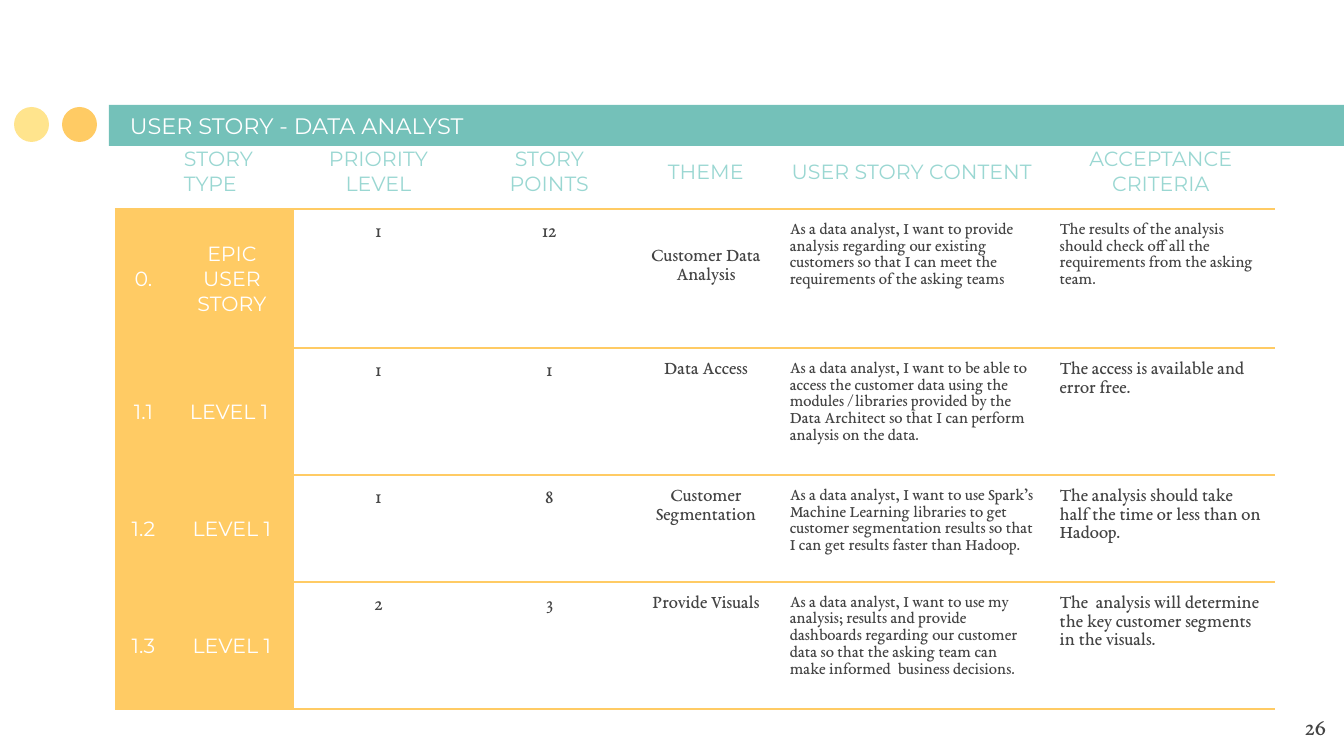
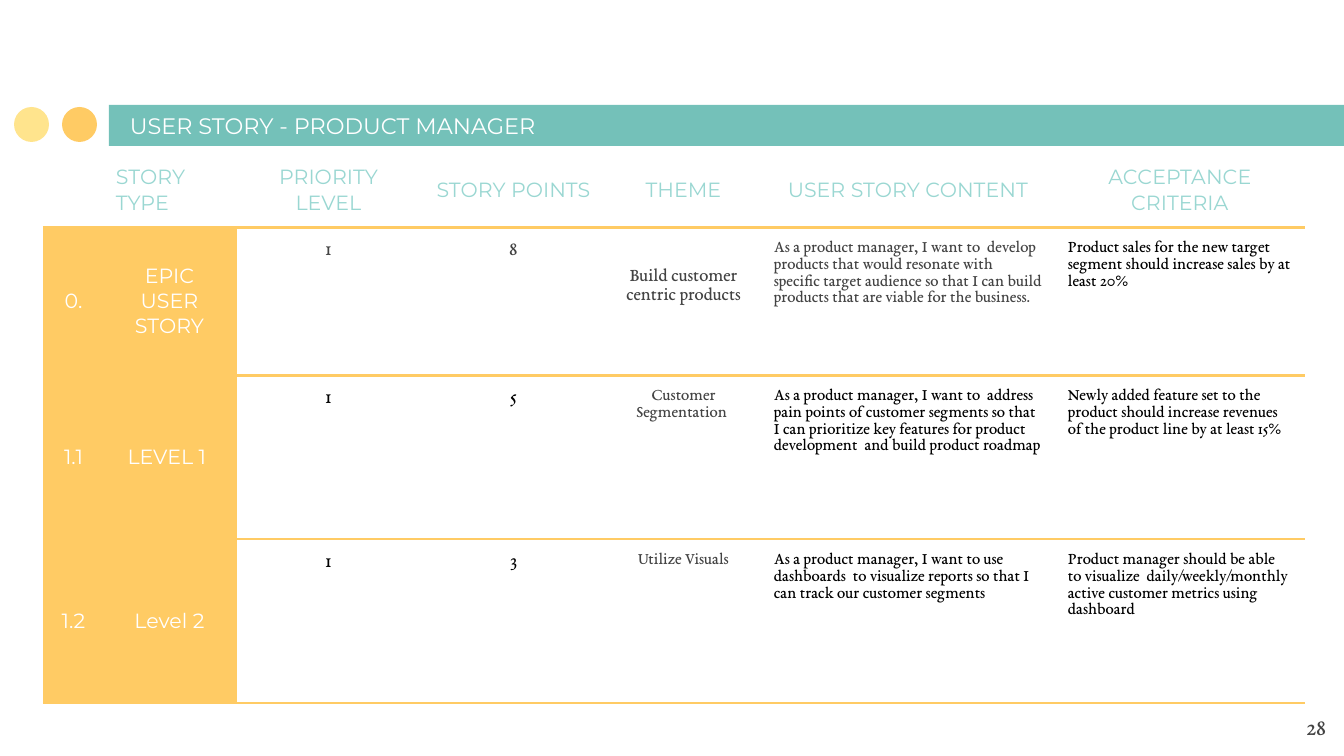
from dataclasses import dataclass

from lxml import etree
from pptx import Presentation
from pptx.dml.color import RGBColor
from pptx.enum import shapes, text
from pptx.oxml.ns import qn
from pptx.util import Pt

# Scale and shared style
PX = 914400 / 134.4
WHITE = RGBColor(0xFF, 0xFF, 0xFF)
BLACK = RGBColor(0, 0, 0)
GRAY = RGBColor(0x43, 0x43, 0x43)
TEAL = RGBColor(0x74, 0xC1, 0xB9)
LIGHT_TEAL = RGBColor(0x9A, 0xD7, 0xD2)
YELLOW = RGBColor(0xFF, 0xCB, 0x64)
PALE_YELLOW = RGBColor(0xFF, 0xE4, 0x8D)
SANS, SERIF = "Montserrat", "EB Garamond"
LEFT, CENTER, RIGHT = (text.PP_ALIGN.LEFT, text.PP_ALIGN.CENTER,
                       text.PP_ALIGN.RIGHT)
INSET = 13
HEADERS = ["", "STORY TYPE", "PRIORITY LEVEL", "STORY POINTS", "THEME",
           "USER STORY CONTENT", "ACCEPTANCE CRITERIA"]


@dataclass
class Story:
    number: str
    level: str
    priority: str
    points: str
    theme: str
    content: str
    criteria: str
    sizes: tuple = (11, 11, 10, 9, 10)
    colors: tuple = (GRAY,) * 5
    theme_drop: int = 0


ANALYST_STORIES = [
    Story("0.", "EPIC USER STORY", "1", "12", "Customer Data Analysis",
          "As a data analyst, I want to provide analysis regarding our existing "
          "customers so that I can meet the requirements of the asking teams",
          "The results of the analysis should check off all the requirements "
          "from the asking team.",
          sizes=(11, 11, 10, 9, 9), theme_drop=26),
    Story("1.1", "LEVEL 1 ", "1", "1", "Data Access",
          "As a data analyst, I want to be able to access the customer data "
          "using the modules / libraries provided by the Data Architect so that "
          "I can perform analysis on the data.",
          "The access is available and error free."),
    Story("1.2", "LEVEL 1", "1", "8", "Customer Segmentation",
          "As a data analyst, I want to use Spark’s Machine Learning libraries "
          "to get customer segmentation results so that I can get results "
          "faster than Hadoop.",
          "The analysis should take half the time or less than on Hadoop."),
    Story("1.3", "LEVEL 1", "2", "3", "Provide Visuals",
          "As a data analyst, I want to use my analysis; results and provide "
          "dashboards regarding our customer data so that the asking team can "
          "make informed  business decisions.",
          "The  analysis will determine the key customer segments  in the "
          "visuals."),
]

MANAGER_SIZES = (11, 11, 9, 9, 9)
MANAGER_COLORS = (BLACK, BLACK, GRAY, BLACK, BLACK)
MANAGER_STORIES = [
    Story("0.", "EPIC USER STORY", "1", "8", "Build customer centric products",
          "As a product manager, I want to  develop products that would resonate "
          "with specific target audience so that I can build products that are "
          "viable for the business.",
          "Product sales for the new target segment should increase sales by at "
          "least 20%",
          (11, 11, 10, 9, 9), (GRAY,) * 4 + (BLACK,), theme_drop=28),
    Story("1.1", "LEVEL 1 ", "1", "5", "Customer Segmentation ",
          "As a product manager, I want to  address pain points of customer "
          "segments so that I can prioritize key features for product "
          "development  and build product roadmap",
          "Newly added feature set to the product should increase revenues of "
          "the product line by at least 15%",
          MANAGER_SIZES, MANAGER_COLORS),
    Story("1.2", "Level 2", "1", "3", "Utilize Visuals",
          "As a product manager, I want to use dashboards  to visualize reports "
          "so that I can track our customer segments",
          "Product manager should be able to visualize  daily/weekly/monthly "
          "active customer metrics using dashboard",
          MANAGER_SIZES, MANAGER_COLORS),
]


def px(n):
    return round(n * PX)


def write(tf, words, size, font, color, align=LEFT):
    p = tf.paragraphs[0]
    p.text = words
    p.alignment = align
    for r in p.runs:
        r.font.size = Pt(size)
        r.font.name = font
        r.font.color.rgb = color


def set_insets(box):
    box.margin_left = box.margin_right = px(INSET)
    box.margin_top = box.margin_bottom = px(INSET)


def add_block(slide, kind, x, y, w, h, color):
    sp = slide.shapes.add_shape(kind, px(x), px(y), px(w), px(h))
    sp.shadow.inherit = False
    sp.fill.solid()
    sp.fill.fore_color.rgb = color
    sp.line.fill.background()


def add_label(slide, x, y, w, h, words, size, font, color, align=LEFT,
              anchor=text.MSO_ANCHOR.TOP):
    tf = slide.shapes.add_textbox(px(x), px(y), px(w), px(h)).text_frame
    tf.word_wrap = True
    tf.vertical_anchor = anchor
    set_insets(tf)
    write(tf, words, size, font, color, align)


def set_borders(cell, sides):
    """Draw yellow lines on the given sides and clear the others."""
    tc_pr = cell._tc.get_or_add_tcPr()
    for i, side in enumerate("LRTB"):
        ln = etree.Element(qn(f"a:ln{side}"), w=str(Pt(1.5)))
        if side in sides:
            fill = etree.SubElement(ln, qn("a:solidFill"))
            etree.SubElement(fill, qn("a:srgbClr"), val=str(YELLOW))
        else:
            etree.SubElement(ln, qn("a:noFill"))
        tc_pr.insert(i, ln)


def fill_cell(cell, words, size, font, color, align, middle, fill, sides):
    set_insets(cell)
    cell.vertical_anchor = (text.MSO_ANCHOR.MIDDLE if middle
                            else text.MSO_ANCHOR.TOP)
    if fill is None:
        cell.fill.background()
    else:
        cell.fill.solid()
        cell.fill.fore_color.rgb = fill
    set_borders(cell, sides)
    write(cell.text_frame, words, size, font, color, align)


def add_story_table(slide, x, y, widths, heights, stories):
    frame = slide.shapes.add_table(len(heights), len(widths), px(x), px(y),
                                   px(sum(widths)), px(sum(heights)))
    table = frame.table
    table.first_row = table.horz_banding = False
    for column, width in zip(table.columns, widths):
        column.width = px(width)
    for row, height in zip(table.rows, heights):
        row.height = px(height)

    # Header row
    for c, header in enumerate(HEADERS):
        fill_cell(table.cell(0, c), header, 11, SANS, LIGHT_TEAL,
                  LEFT if c < 2 else CENTER, True, None, "B")

    # Story rows: two yellow label cells, then the details
    for r, story in enumerate(stories, 1):
        for c, label in enumerate((story.number, story.level)):
            fill_cell(table.cell(r, c), label, 11, SANS, WHITE, CENTER, True,
                      YELLOW, "LRTB")
        details = (story.priority, story.points, story.theme, story.content,
                   story.criteria)
        styled = zip(details, story.sizes, story.colors)
        for c, (words, size, color) in enumerate(styled, 2):
            fill_cell(table.cell(r, c), words, size, SERIF, color,
                      CENTER if c < 5 else LEFT, False, None,
                      "LTB" if c == 2 else "TB")
        table.cell(r, 4).margin_top = px(INSET + story.theme_drop)


def add_story_slide(prs, title, page):
    slide = prs.slides.add_slide(prs.slide_layouts[6])
    # Title band and dots
    add_block(slide, shapes.MSO_SHAPE.RECTANGLE, 109, 105, 1235, 41, TEAL)
    for x, color in ((62, YELLOW), (14, PALE_YELLOW)):
        add_block(slide, shapes.MSO_SHAPE.OVAL, x, 107, 35, 35, color)
    add_label(slide, 117, 106, 737, 46, title, 12, SANS, WHITE,
              anchor=text.MSO_ANCHOR.BOTTOM)
    # Page number
    add_label(slide, 1258, 698, 81, 58, page, 13, SERIF, GRAY, RIGHT)
    return slide


def main():
    prs = Presentation()
    prs.slide_width, prs.slide_height = px(1344), px(756)

    slide = add_story_slide(prs, "USER STORY - DATA ANALYST", "26")
    add_story_table(slide, 116, 134, (55, 122, 171, 171, 142, 270, 228),
                    (63, 139, 75, 75, 75), ANALYST_STORIES)

    slide = add_story_slide(prs, "USER STORY - PRODUCT MANAGER", "28")
    add_story_table(slide, 44, 152, (59, 133, 185, 185, 155, 294, 250),
                    (71, 148, 164, 164), MANAGER_STORIES)

    prs.save("out.pptx")


if __name__ == "__main__":
    main()
